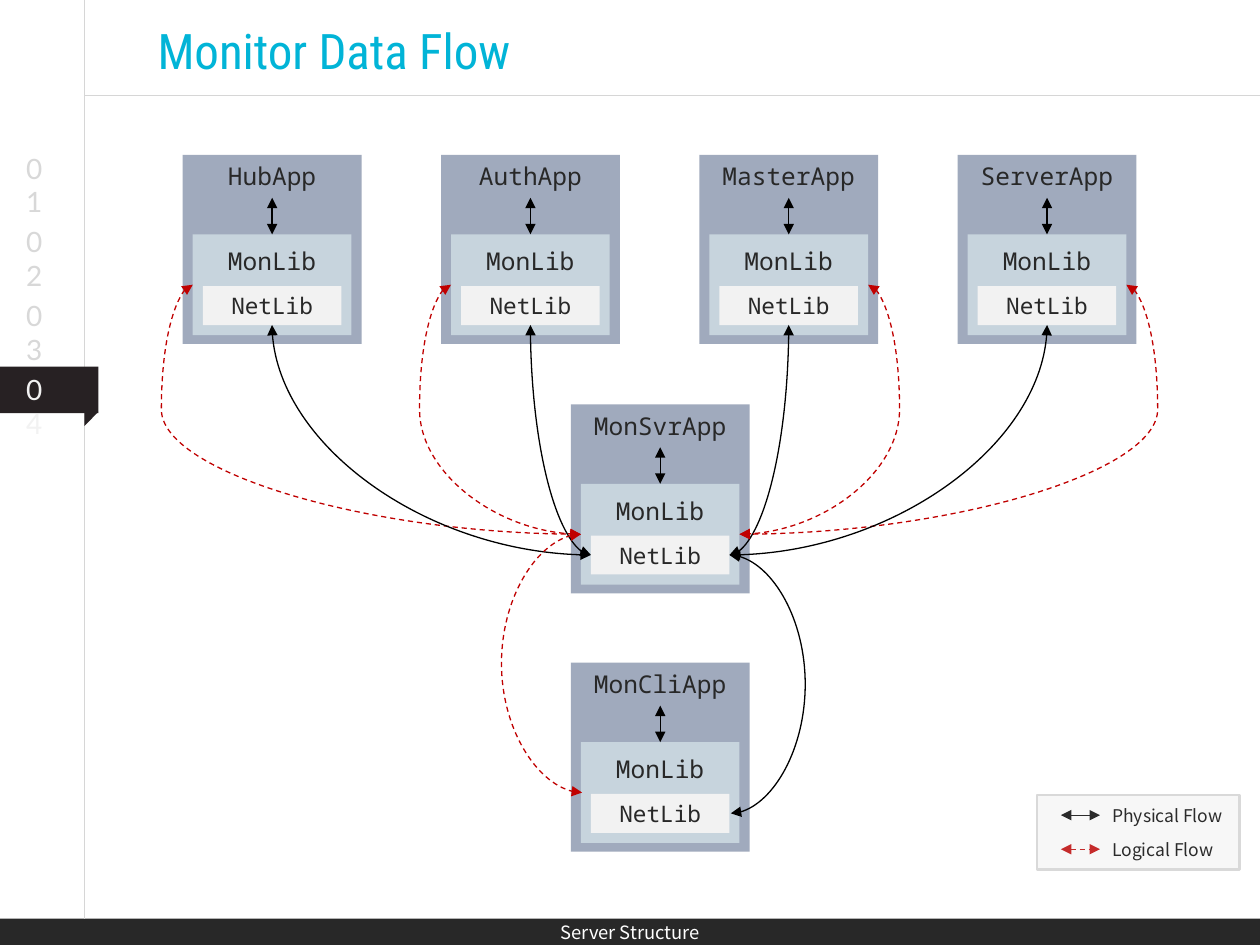
import dataclasses
import lxml.etree
import pptx
import pptx.dml.color
import pptx.enum.dml
import pptx.enum.shapes
import pptx.enum.text
import pptx.oxml.ns
import pptx.util

Inches = pptx.util.Inches
qn = pptx.oxml.ns.qn
SHAPE = pptx.enum.shapes.MSO_SHAPE
CONNECTOR = pptx.enum.shapes.MSO_CONNECTOR
ALIGN = pptx.enum.text.PP_ALIGN
ANCHOR = pptx.enum.text.MSO_ANCHOR
TOP, LEFT, BOTTOM, RIGHT = range(4)


@dataclasses.dataclass(frozen=True)
class Theme:
    app: str = "7987A1"
    lib: str = "C7D4DD"
    net: str = "F2F2F2"
    ink: str = "282828"
    black: str = "000000"
    logical: str = "C00000"
    white: str = "FFFFFF"
    rule: str = "D6D6D6"
    muted: str = "D8D8D8"
    tab: str = "272123"
    legend: str = "D9D9D9"
    accent: str = "01B4D7"
    mono: str = "Noto Sans Mono"
    number_font: str = "Lato"
    title_font: str = "Roboto Condensed"
    footer_font: str = "Noto Sans CJK JP"
    legend_font: str = "Noto Sans CJK KR"
    title_size: float = 28
    number_size: float = 16
    label_size: float = 14
    net_size: float = 13
    footer_size: float = 10.5
    legend_size: float = 10
    line: float = 0.75


T = Theme()


@dataclasses.dataclass
class App:
    lib: object
    net: object


def rgb(value):
    return pptx.dml.color.RGBColor.from_string(value)


def write(sp, text, font=T.mono, size=T.label_size, color=T.ink,
          align=ALIGN.CENTER, anchor=ANCHOR.TOP):
    tf = sp.text_frame
    tf.word_wrap = True
    tf.auto_size = pptx.enum.text.MSO_AUTO_SIZE.NONE
    tf.vertical_anchor = anchor
    p = tf.paragraphs[0]
    p.alignment = align
    r = p.add_run()
    r.text = text
    r.font.name = font
    r.font.size = pptx.util.Pt(size)
    r.font.color.rgb = rgb(color)


def add_label(shapes, box, text, **fmt):
    sp = shapes.add_textbox(*map(Inches, box))
    write(sp, text, **fmt)
    return sp


def add_block(shapes, box, fill, kind=SHAPE.RECTANGLE, alpha=None, outline=None):
    sp = shapes.add_shape(kind, *map(Inches, box))
    sp.shadow.inherit = False
    sp.fill.solid()
    sp.fill.fore_color.rgb = rgb(fill)
    if alpha:
        color = sp._element.spPr.find(".//" + qn("a:srgbClr"))
        lxml.etree.SubElement(color, qn("a:alpha")).set("val", str(alpha * 1000))
    if outline:
        sp.line.color.rgb = rgb(outline)
        sp.line.width = pptx.util.Pt(1.5)
    else:
        sp.line.fill.background()
    return sp


def style_line(con, color, dash=False, arrows=False):
    con.line.color.rgb = rgb(color)
    con.line.width = pptx.util.Pt(T.line)
    if dash:
        con.line.dash_style = pptx.enum.dml.MSO_LINE.DASH
    spPr = con._element.spPr
    if arrows:
        for end in ("a:headEnd", "a:tailEnd"):
            lxml.etree.SubElement(spPr.find(qn("a:ln")), qn(end)).set("type", "triangle")
    lxml.etree.SubElement(spPr, qn("a:effectLst"))


def add_line(shapes, start, end, color, **style):
    con = shapes.add_connector(CONNECTOR.STRAIGHT, *map(Inches, start + end))
    style_line(con, color, **style)


def site_point(sp, site):
    x = {LEFT: sp.left, RIGHT: sp.left + sp.width}.get(site, sp.left + sp.width // 2)
    y = {TOP: sp.top, BOTTOM: sp.top + sp.height}.get(site, sp.top + sp.height // 2)
    return x, y


def add_curve(shapes, start, end, color, bulge=None, end_shift=0, dash=False):
    x1, y1 = site_point(*start)
    x2, y2 = site_point(*end)
    x2 += Inches(end_shift)
    con = shapes.add_connector(CONNECTOR.CURVE, x1, y1, x2, y2)
    con.begin_connect(*start)
    if not end_shift:
        con.end_connect(*end)
    geom = con._element.spPr.find(qn("a:prstGeom"))
    if bulge is None:
        geom.set("prst", "curvedConnector2")
    else:
        guide = lxml.etree.SubElement(geom.find(qn("a:avLst")), qn("a:gd"))
        guide.set("name", "adj1")
        guide.set("fmla", f"val {round(Inches(bulge) / (x2 - x1) * 100000)}")
    style_line(con, color, dash=dash, arrows=True)


def add_app(shapes, name, x, y):
    add_block(shapes, (x, y, 1.42, 1.5), T.app, alpha=70)
    lib = add_block(shapes, (x + 0.08, y + 0.63, 1.26, 0.8), T.lib)
    net = add_block(shapes, (x + 0.16, y + 1.04, 1.1, 0.31), T.net)
    write(net, "NetLib", size=T.net_size, anchor=ANCHOR.MIDDLE)
    add_label(shapes, (x + 0.08, y + 0.67, 1.26, 0.34), "MonLib", anchor=ANCHOR.MIDDLE)
    add_label(shapes, (x, y, 1.42, 0.34), name)
    add_line(shapes, (x + 0.71, y + 0.63), (x + 0.71, y + 0.34), T.black, arrows=True)
    return App(lib, net)


def add_flows(shapes):
    names = ("HubApp", "AuthApp", "MasterApp", "ServerApp")
    sources = [add_app(shapes, name, 1.45 + 2.05 * i, 1.23) for i, name in enumerate(names)]
    server = add_app(shapes, "MonSvrApp", 4.53, 3.21)
    client = add_app(shapes, "MonCliApp", 4.53, 5.26)
    for i, app in enumerate(sources):
        side, bulge = (LEFT, -0.25) if i < 2 else (RIGHT, 0.25)
        add_curve(shapes, (app.lib, side), (server.lib, side), T.logical, bulge, dash=True)
        add_curve(shapes, (server.net, side), (app.net, BOTTOM), T.black)
    add_curve(shapes, (server.lib, LEFT), (client.lib, LEFT), T.logical,
              -0.64, end_shift=0.01, dash=True)
    add_curve(shapes, (server.net, RIGHT), (client.net, RIGHT), T.black,
              0.61, end_shift=0.01)


def add_frame(slide):
    shapes = slide.shapes
    title = shapes.title
    title.left, title.top, title.width, title.height = map(Inches, (1.15, 0.11, 4.17, 0.57))
    write(title, "Monitor Data Flow", font=T.title_font, size=T.title_size,
          color=T.accent, align=ALIGN.LEFT, anchor=ANCHOR.MIDDLE)
    footer = add_block(shapes, (0, 7.29, 10, 0.21), T.ink)
    write(footer, "Server Structure", font=T.footer_font, size=T.footer_size,
          color=T.white, anchor=ANCHOR.MIDDLE)
    add_line(shapes, (0.67, 0), (0.67, 7.29), T.rule)
    add_line(shapes, (0.67, 0.76), (10, 0.76), T.rule)


def add_sections(shapes, current=4):
    tab = shapes.add_group_shape().shapes
    add_block(tab, (-0.01, 2.91, 0.79, 0.37), T.tab)
    fold = add_block(tab, (0.67, 3.27, 0.11, 0.11), T.tab, kind=SHAPE.RIGHT_TRIANGLE)
    fold._element.spPr.find(qn("a:xfrm")).set("flipV", "1")
    for n in range(1, 5):
        top = 2.91 if n == current else 1.15 + 0.585 * (n - 1)
        add_label(shapes, (0.11, top, 0.44, 0.37), f"{n:02d}", font=T.number_font,
                  size=T.number_size, color=T.net if n == current else T.muted,
                  align=ALIGN.LEFT)


def add_legend(shapes):
    legend = shapes.add_group_shape().shapes
    entries = (("Physical Flow", T.black, False), ("Logical Flow", T.logical, True))
    for i, (text, color, dash) in enumerate(entries):
        y = 6.47 + 0.27 * i
        add_line(legend, (8.42, y), (8.73, y), color, dash=dash, arrows=True)
        add_label(legend, (8.73, y - 0.13, 1.1, 0.27), text, font=T.legend_font,
                  size=T.legend_size, color=T.black, align=ALIGN.LEFT)
    add_block(legend, (8.23, 6.31, 1.61, 0.59), T.legend, alpha=20, outline=T.legend)


def main():
    prs = pptx.Presentation()
    prs.slide_width, prs.slide_height = Inches(10), Inches(7.5)
    slide = prs.slides.add_slide(prs.slide_layouts[5])
    add_flows(slide.shapes)
    add_frame(slide)
    add_sections(slide.shapes)
    add_legend(slide.shapes)
    prs.save("out.pptx")


main()
